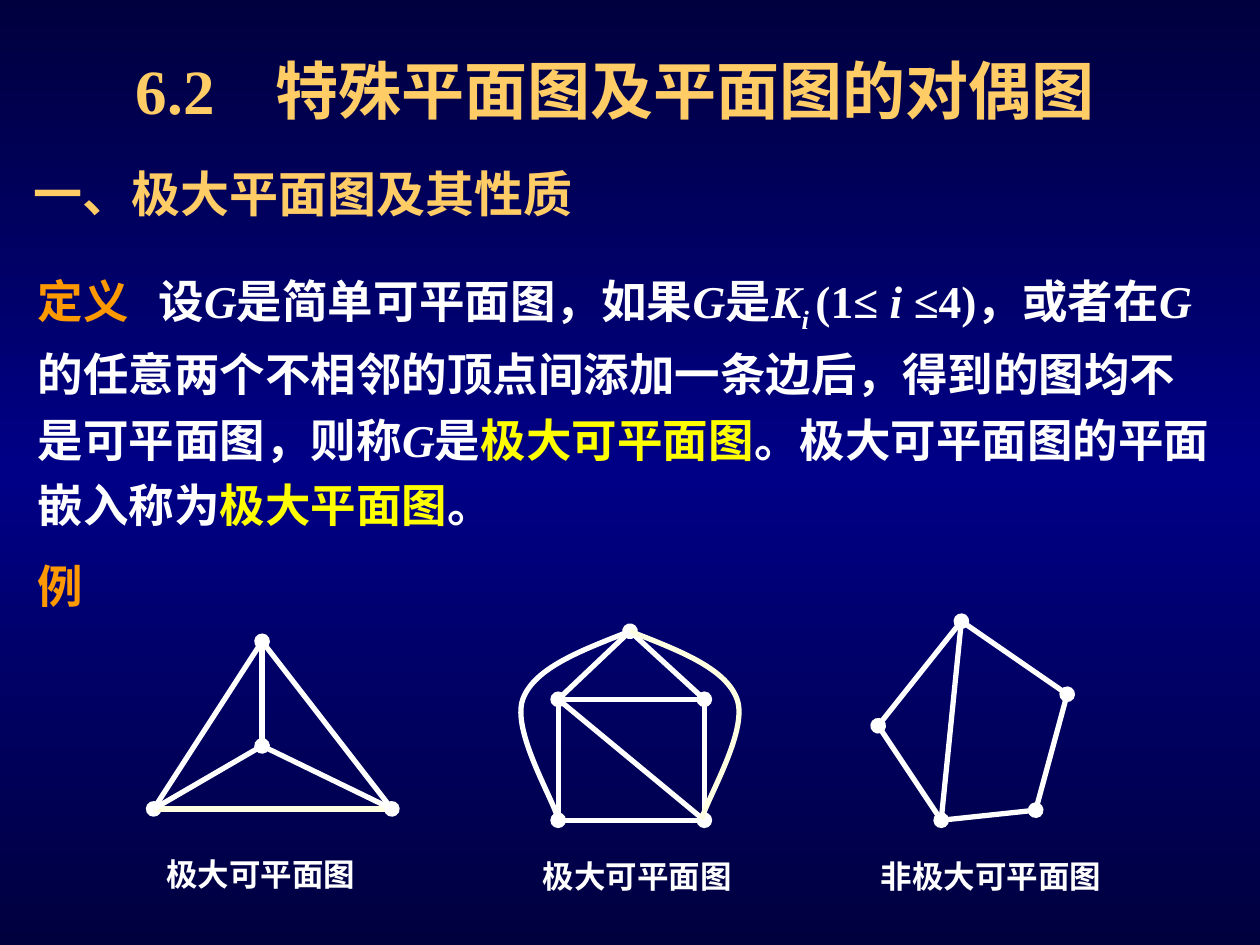
from copy import deepcopy

from lxml.etree import SubElement
from pptx import Presentation
from pptx.dml.color import RGBColor
from pptx.enum.shapes import MSO_CONNECTOR
from pptx.oxml.ns import qn
from pptx.util import Inches, Pt

COLORS = {
    "edge": "00003E", "middle": "000086", "heading": "FFCC66", "label": "FF9900",
    "white": "FFFFFF", "ivory": "FFFFE1", "key": "FFFF00",
}
SERIF, SANS, CHINESE = "Times New Roman", "Arial", "Noto Sans CJK SC"

DEFINITION = [
    ("定义\t", "label", SERIF), ("设", "white", SERIF), ("G", "math", SERIF),
    ("是简单可平面图，如果", "white", SERIF), ("G", "math", SERIF),
    ("是", "white", SERIF), ("K", "math", SERIF), ("i ", "subscript", SERIF),
    ("(1≤ ", "white", SERIF), ("i ", "math", SERIF), ("≤4)", "white", SERIF),
    ("，或者在", "white", CHINESE), ("G", "math", SERIF),
    ("的任意两个不相邻的顶点间添加一条边后，得到的图均不是可平面图，则称", "white", CHINESE),
    ("G", "math", SERIF), ("是", "white", CHINESE),
    ("极大可平面图", "key", CHINESE), ("。", "white", CHINESE),
    ("极大可平面图的平面嵌入称为", "white", SERIF),
    ("极大平面图", "key", SERIF), ("。", "white", SERIF),
]

TRIANGLE = {"top": (2.08, 5.09), "left": (1.22, 6.42), "right": (3.11, 6.42),
            "center": (2.08, 5.92)}
TRIANGLE_EDGES = [
    ("top", "left", "both", "white"), ("left", "right", "", "ivory"),
    ("top", "right", "", "white"), ("top", "center", "", "white"),
    ("center", "right", "both", "white"), ("left", "center", "", "white"),
]
HOUSE = {"top": (5, 5.01), "upper left": (4.43, 5.55), "upper right": (5.59, 5.55),
         "lower left": (4.43, 6.51), "lower right": (5.59, 6.51)}
HOUSE_EDGES = [
    ("top", "upper left", "", "white"), ("upper left", "upper right", "both", "white"),
    ("lower left", "lower right", "both", "white"),
    ("upper left", "lower left", "", "white"),
    ("upper right", "lower right", "", "white"),
    ("top", "upper right", "head", "white"),
    ("upper left", "lower right", "", "white"),
]
PENTAGON = {"top": (7.63, 4.93), "left": (6.97, 5.76), "bottom": (7.47, 6.51),
            "right": (8.47, 5.51), "lower right": (8.22, 6.43)}
PENTAGON_EDGES = [
    ("top", "left", "tail", "white"), ("left", "bottom", "tail", "white"),
    ("top", "right", "both", "white"), ("right", "lower right", "", "white"),
    ("bottom", "lower right", "tail", "white"), ("top", "bottom", "", "white"),
]
ARC_OFFSETS = [(0, 0), (0.38, 0.15), (0.76, 0.29), (0.85, 0.54),
               (0.94, 0.79), (0.61, 1.33), (0.57, 1.49)]


def rgb(name):
    return RGBColor.from_string(COLORS[name])


def paint_background(slide):
    fill = slide.background.fill
    fill.gradient()
    fill.gradient_angle = 270
    stop_list = slide.element.xpath(".//a:gsLst")[0]
    stop_list.append(deepcopy(stop_list[0]))
    for stop, position, name in zip(fill.gradient_stops, (0, 0.5, 1),
                                    ("edge", "middle", "edge")):
        stop.position = position
        stop.color.rgb = rgb(name)


def add_text(slide, box, pieces, size, tab=None, line_spacing=None, wrap=True):
    shape = slide.shapes.add_textbox(*(Inches(value) for value in box))
    text_frame = shape.text_frame
    text_frame.word_wrap = wrap
    paragraph = text_frame.paragraphs[0]
    if tab:
        tabs = SubElement(paragraph._p.get_or_add_pPr(), qn("a:tabLst"))
        SubElement(tabs, qn("a:tab"), pos=str(Inches(tab)), algn="l")
    if line_spacing:
        paragraph.line_spacing = line_spacing
    for text, style, typeface in pieces:
        run = paragraph.add_run()
        run.text = text
        font = run.font
        font.size = Pt(size)
        font.bold = True
        font.italic = style in ("math", "subscript")
        font.color.rgb = rgb("white" if font.italic else style)
        font.name = typeface
        properties = font._element
        SubElement(properties, qn("a:ea"), typeface=CHINESE)
        if style == "subscript":
            properties.set("baseline", "-25000")


def style_line(line, color):
    line.color.rgb = rgb(color)
    line.width = Pt(3)


def add_edge(group, start, end, dots, color):
    points = [Inches(value) for value in (*start, *end)]
    connector = group.shapes.add_connector(MSO_CONNECTOR.STRAIGHT, *points)
    style_line(connector.line, color)
    line_element = connector.line._get_or_add_ln()
    for side in ("head", "tail"):
        if dots in (side, "both"):
            SubElement(line_element, qn(f"a:{side}End"), type="oval")
    SubElement(connector._element.spPr, qn("a:effectLst"))


def add_graph(slide, vertices, edges):
    group = slide.shapes.add_group_shape()
    for start, end, dots, color in edges:
        add_edge(group, vertices[start], vertices[end], dots, color)
    return group


def add_arc(group, start, direction, color):
    points = [(Inches(start[0] + direction * x), Inches(start[1] + y))
              for x, y in ARC_OFFSETS]
    builder = group.shapes.build_freeform(*points[0])
    builder.add_line_segments(points[1:], close=False)
    shape = builder.convert_to_shape()
    segments = shape._element.xpath(".//a:lnTo")
    outline = segments[0].getparent()
    for first in range(0, len(segments), 3):
        curve = SubElement(outline, qn("a:cubicBezTo"))
        for segment in segments[first:first + 3]:
            curve.append(segment[0])
            outline.remove(segment)
    shape.fill.background()
    style_line(shape.line, color)
    shape.shadow.inherit = False


def main():
    presentation = Presentation()
    presentation.slide_width, presentation.slide_height = Inches(10), Inches(7.5)
    slide = presentation.slides.add_slide(presentation.slide_layouts[6])
    paint_background(slide)

    add_text(slide, (0.98, 0.36, 7.95, 0.7),
             [("6.2\t特殊平面图及平面图的对偶图", "heading", SERIF)], 36, tab=1.11)
    add_text(slide, (0.17, 1.25, 4.51, 0.57),
             [("一、极大平面图及其性质", "heading", SANS)], 28)
    add_text(slide, (0.2, 2.02, 9.53, 2.25), DEFINITION, 26, tab=0.96, line_spacing=1.2)
    add_text(slide, (0.2, 4.38, 0.56, 0.54), [("例", "label", SANS)], 26, wrap=False)

    add_graph(slide, TRIANGLE, TRIANGLE_EDGES)
    house = add_graph(slide, HOUSE, HOUSE_EDGES)
    add_arc(house, HOUSE["top"], 1, "ivory")
    add_arc(house, HOUSE["top"], -1, "white")
    add_graph(slide, PENTAGON, PENTAGON_EDGES)

    for left, top, width, caption in [(1.22, 6.74, 1.81, "极大可平面图"),
                                      (4.21, 6.75, 1.73, "极大可平面图"),
                                      (6.89, 6.75, 2.05, "非极大可平面图")]:
        add_text(slide, (left, top, width, 0.4), [(caption, "white", SANS)], 18)

    presentation.save("out.pptx")


if __name__ == "__main__":
    main()
